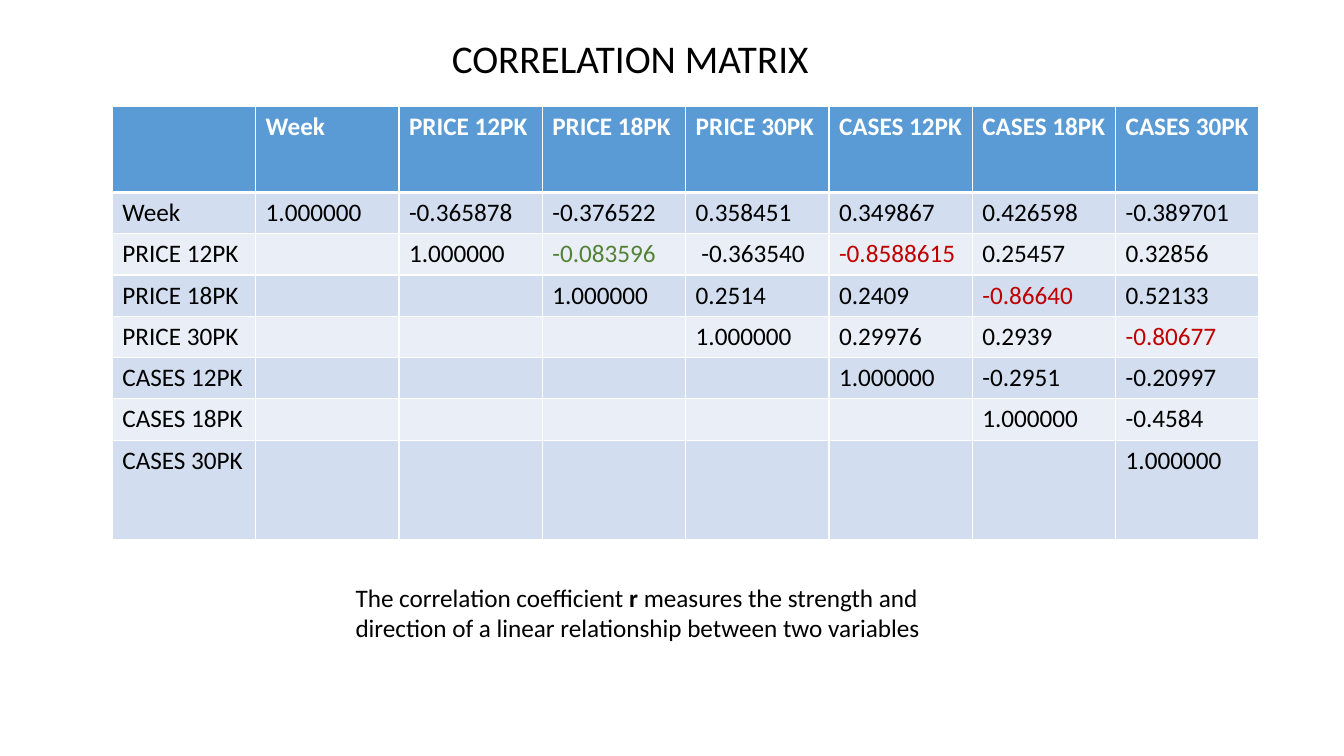
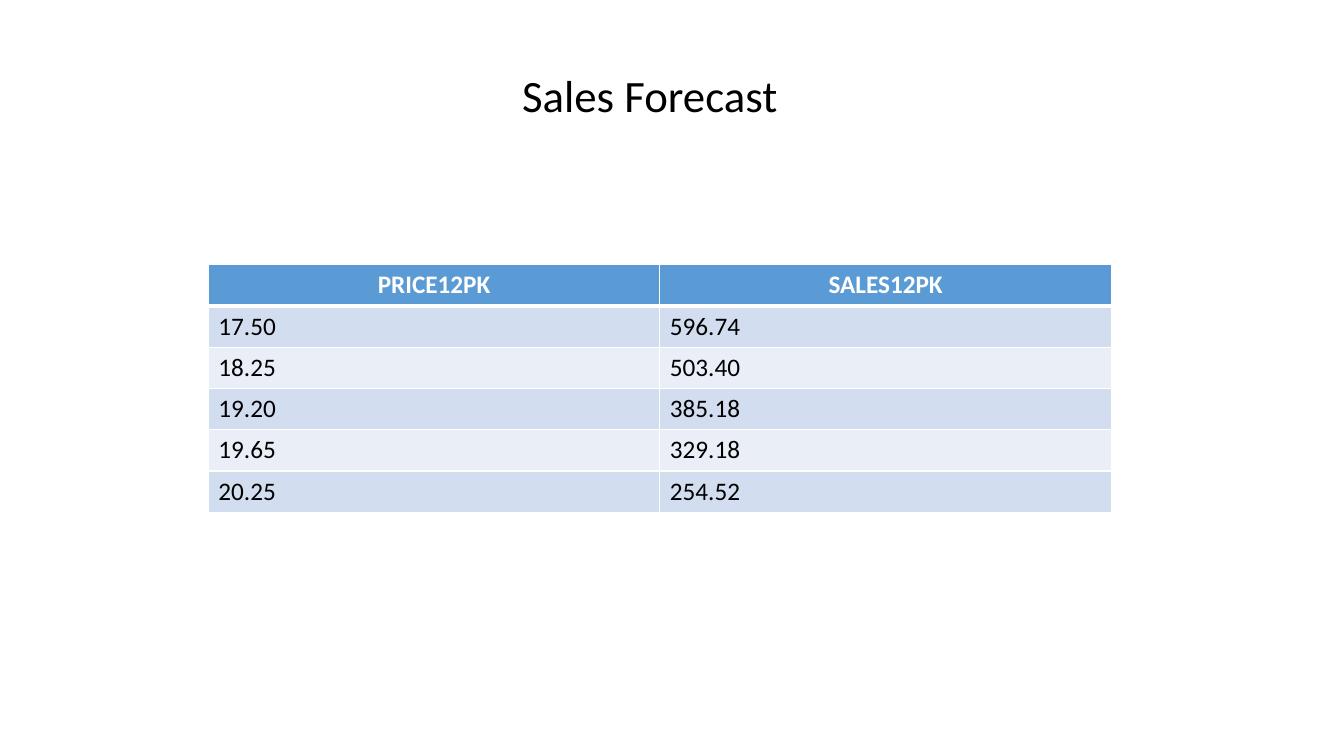
from lxml.etree import SubElement as Sub
from pptx import Presentation
from pptx.dml.color import RGBColor as Rgb
from pptx.enum.text import MSO_AUTO_SIZE as Fit, PP_ALIGN as Align
from pptx.oxml.ns import qn
from pptx.util import Cm, Pt

INK = "000000"
PALE = "FFFFFF"
HEAD = "5B9BD5"
BANDS = ["EAEFF7", "D2DEEF"]
GOOD = "548235"
BAD = "C00000"
ROW = 1.04

LABELS = ["Week", "PRICE 12PK", "PRICE 18PK", "PRICE 30PK",
          "CASES 12PK", "CASES 18PK", "CASES 30PK"]
UPPER = [
    ["-0.365878", "-0.376522", "0.358451", "0.349867", "0.426598", "-0.389701"],
    ["-0.083596", " -0.363540", "-0.8588615", "0.25457", "0.32856"],
    ["0.2514", "0.2409", "-0.86640", "0.52133"],
    ["0.29976", "0.2939", "-0.80677"],
    ["-0.2951", "-0.20997"],
    ["-0.4584"],
    [],
]
SALES = [["PRICE12PK", "SALES12PK"], ["17.50", "596.74"], ["18.25", "503.40"],
         ["19.20", "385.18"], ["19.65", "329.18"], ["20.25", "254.52"]]


def color(code):
    return Rgb.from_string(code)


def write(para, text, size=18, tint=INK, bold=False):
    run = para.add_run()
    run.text = text
    style = {"name": "Calibri", "size": Pt(size), "bold": bold}
    for key, value in style.items():
        setattr(run.font, key, value)
    run.font.color.rgb = color(tint)


def add_text(slide, box, parts, size=18, align=Align.LEFT, wrap=True):
    frame = slide.shapes.add_textbox(*map(Cm, box)).text_frame
    format = {"word_wrap": wrap, "auto_size": Fit.SHAPE_TO_FIT_TEXT}
    for key, value in format.items():
        setattr(frame, key, value)
    para = frame.paragraphs[0]
    para.alignment = align
    for text, bold in parts:
        write(para, text, size, bold=bold)


def add_title(slide, box, text, size, wrap=True):
    add_text(slide, box, [(text, False)], size, Align.CENTER, wrap)


def edge(cell, widths):
    props = cell._tc.get_or_add_tcPr()
    for place, (side, width) in enumerate(widths.items()):
        line = Sub(props, qn("a:ln" + side), w=str(Pt(width)))
        fill = Sub(line, qn("a:solidFill"))
        Sub(fill, qn("a:srgbClr"), val=PALE)
        props.insert(place, line)


def add_grid(slide, box, rows, heights, align=Align.LEFT, tint=None):
    frame = slide.shapes.add_table(len(rows), len(rows[0]), *map(Cm, box))
    table = frame.table
    for col in table.columns:
        col.width = Cm(box[2] / len(rows[0]))
    for r, (texts, height) in enumerate(zip(rows, heights)):
        table.rows[r].height = Cm(height)
        top = r == 0
        for c, text in enumerate(texts):
            cell = table.cell(r, c)
            cell.fill.solid()
            cell.fill.fore_color.rgb = color(HEAD if top else BANDS[r % 2])
            edge(cell, {"L": 1, "R": 1, "T": 3 if r == 1 else 1, "B": 3 if top else 1})
            para = cell.text_frame.paragraphs[0]
            para.alignment = align if top else Align.LEFT
            if text:
                shade = tint(text) if tint and r and c else INK
                write(para, text, tint=PALE if top else shade, bold=top)


def rate(text):
    value = float(text)
    if value < -0.8:
        return BAD
    return GOOD if abs(value) < 0.1 else INK


def matrix(slide):
    add_title(slide, (9.35, 0.74, 13.06, 1.45), "CORRELATION MATRIX", 28)
    rows = [[""] + LABELS]
    for n, (label, values) in enumerate(zip(LABELS, UPPER)):
        rows.append([label] + [""] * n + ["1.000000"] + values)
    heights = [2.16] + [ROW] * 6 + [2.51]
    add_grid(slide, (2.83, 2.69, 28.9, sum(heights)), rows, heights, tint=rate)
    note = [("The correlation coefficient ", False), ("r", True),
            (" measures the strength and direction of a linear relationship"
             " between two variables", False)]
    add_text(slide, (8.71, 14.55, 16.94, 1.8), note)


def forecast(slide):
    add_title(slide, (12.75, 1.57, 7.26, 1.62), "Sales Forecast", 32, False)
    heights = [ROW] * len(SALES)
    add_grid(slide, (5.25, 6.67, 22.76, sum(heights)), SALES, heights, Align.CENTER)


def main():
    deck = Presentation()
    deck.slide_width, deck.slide_height = Cm(33.87), Cm(19.05)
    for build in (matrix, forecast):
        build(deck.slides.add_slide(deck.slide_layouts[6]))
    deck.save("out.pptx")


if __name__ == "__main__":
    main()
